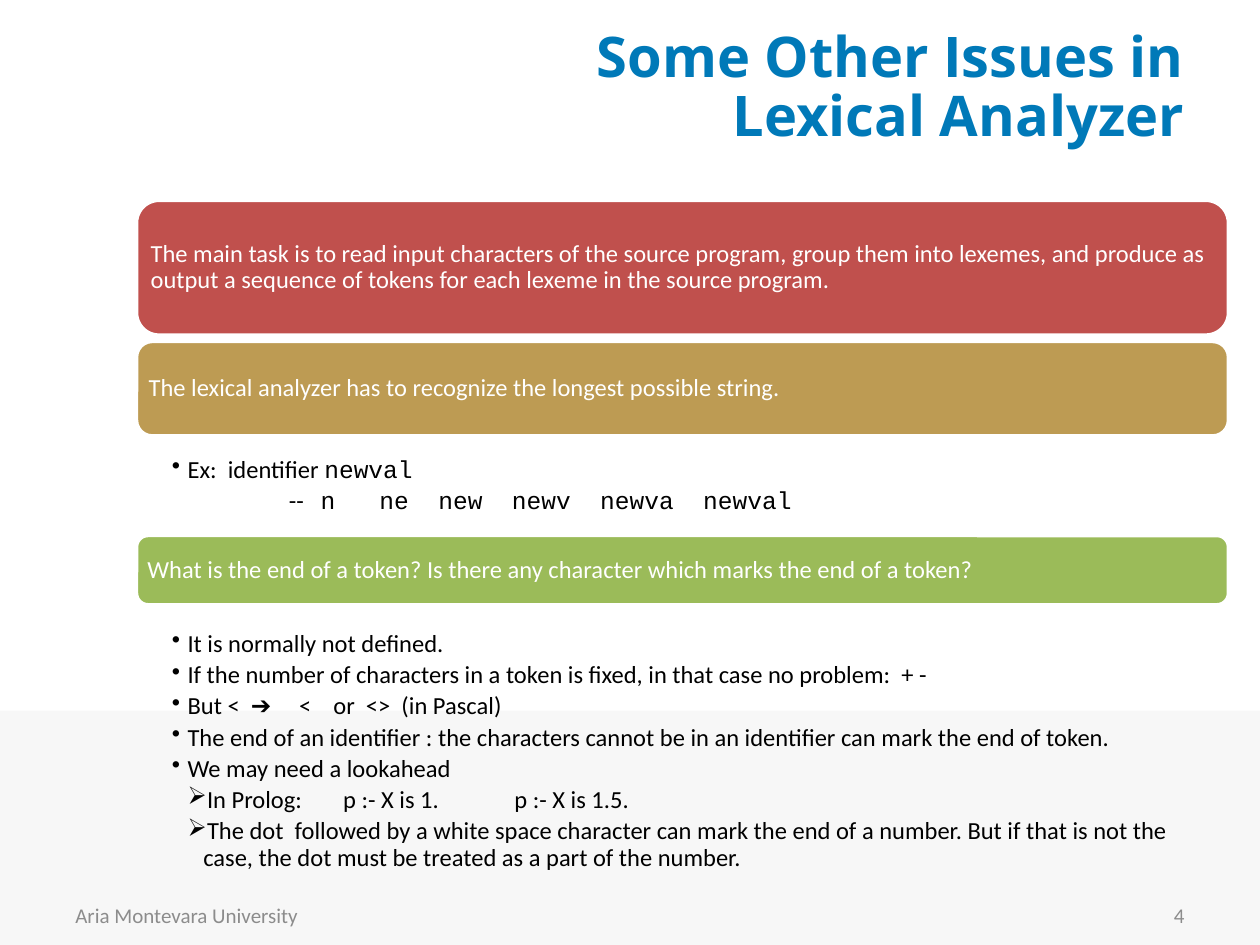
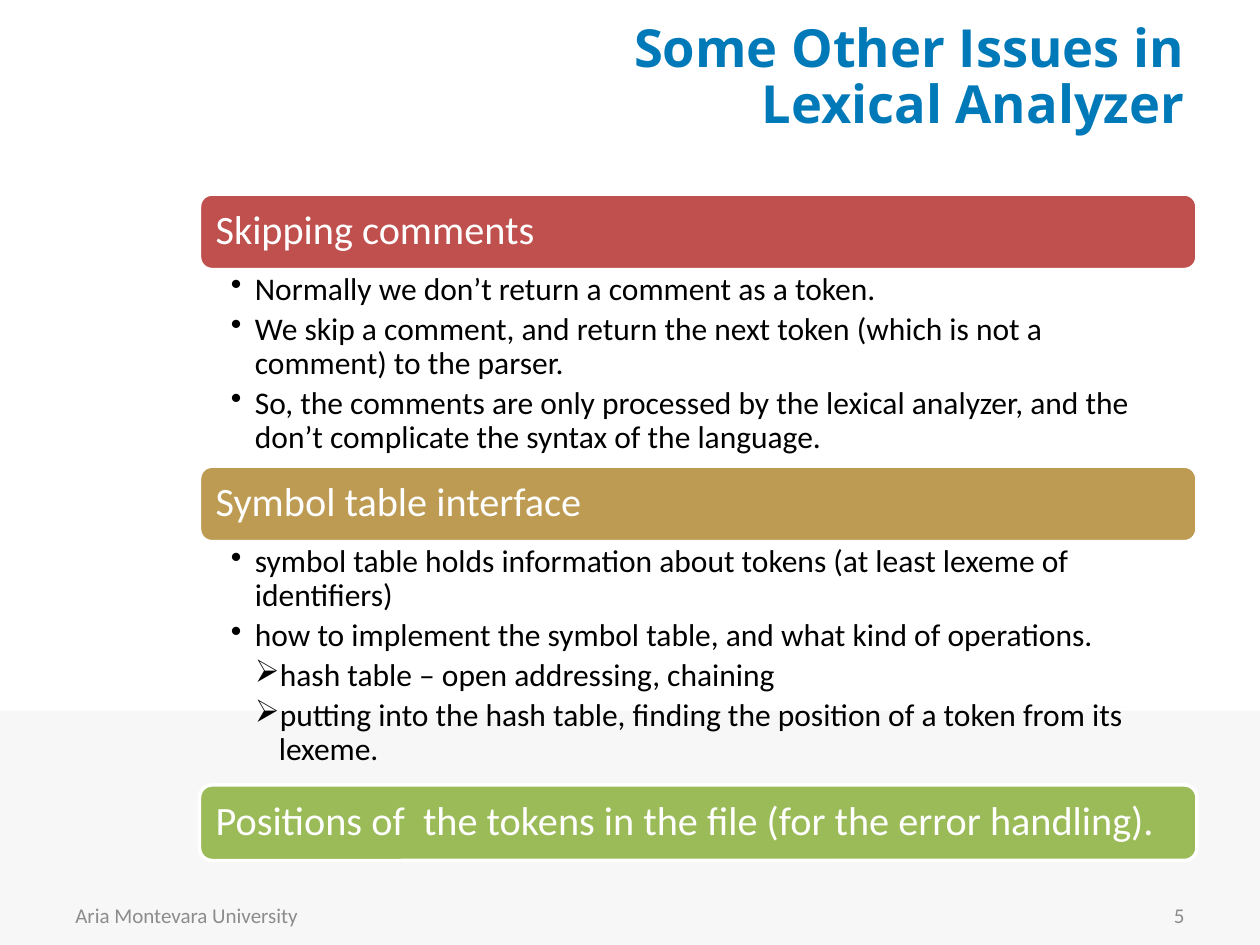
from pptx import Presentation
from pptx.dml.color import RGBColor
from pptx.enum.shapes import MSO_SHAPE
from pptx.enum.text import MSO_ANCHOR, PP_ALIGN
from pptx.util import Emu, Inches, Pt
from lxml.etree import SubElement
from pptx.oxml.ns import qn

# Shared style
WHITE = RGBColor(0xFF, 0xFF, 0xFF)
BLACK = RGBColor(0, 0, 0)
BAND_GREY = RGBColor(0xF7, 0xF7, 0xF7)
FOOTER_GREY = RGBColor(0x8C, 0x8C, 0x8C)
TITLE_BLUE = RGBColor(0x00, 0x79, 0xB8)
RED = RGBColor(0xC0, 0x50, 0x4D)
GOLD = RGBColor(0xBD, 0x9B, 0x53)
GREEN = RGBColor(0x9B, 0xBB, 0x59)

BODY_FONT, CODE_FONT, TITLE_FONT = "Calibri", "Courier New", "Open Sans"
COLUMNS, ROWS = 120, 90
RIGHT_EDGE = 114
UNIVERSITY = "Aria Montevara University"
TITLE = ["Some Other Issues in", "Lexical Analyzer"]
DOT, ARROW = "•", "➢"


def write(paragraph, runs, size, color, font=BODY_FONT, bold=False,
          align=PP_ALIGN.LEFT, spacing=None, after=0):
    """Fill a paragraph; each run is plain text or a (text, font) pair."""
    paragraph.alignment = align
    paragraph.line_spacing = spacing
    paragraph.space_after = Pt(after)
    for part in [runs] if isinstance(runs, str) else runs:
        text, face = (part, font) if isinstance(part, str) else part
        run = paragraph.add_run()
        run.text = text
        run.font.name, run.font.size, run.font.bold = face, Pt(size), bold
        run.font.color.rgb = color


def set_bullet(paragraph, mark, level, step, tab):
    """Hang the paragraph by one step per level, with a bullet if marked."""
    properties = paragraph._p.get_or_add_pPr()
    properties.set("marL", str(Inches(step * level)))
    properties.set("indent", str(-Inches(step)))
    properties.set("defTabSz", str(Inches(tab)))
    if mark:
        SubElement(properties, qn("a:buChar")).set("char", mark)
    else:
        SubElement(properties, qn("a:buNone"))


class Deck:
    def __init__(self):
        self.file = Presentation()
        self.file.slide_width, self.file.slide_height = Inches(10), Inches(7.5)
        self.column = self.file.slide_width / COLUMNS
        self.row = self.file.slide_height / ROWS

    def box(self, left, top, width, height):
        return (Emu(round(left * self.column)), Emu(round(top * self.row)),
                Emu(round(width * self.column)), Emu(round(height * self.row)))

    def shape(self, preset, place, fill, line=None):
        shape = self.slide.shapes.add_shape(preset, *self.box(*place))
        shape.shadow.inherit = False
        shape.fill.solid()
        shape.fill.fore_color.rgb = fill
        if line:
            shape.line.color.rgb, shape.line.width = line, Pt(2)
        else:
            shape.line.fill.background()
        return shape

    def text_frame(self, place, anchor=MSO_ANCHOR.MIDDLE):
        frame = self.slide.shapes.add_textbox(*self.box(*place)).text_frame
        frame.word_wrap, frame.vertical_anchor = True, anchor
        return frame

    def start(self, number, title_left, title_rows, title_size):
        """New slide with its band, title and footer."""
        self.slide = self.file.slides.add_slide(self.file.slide_layouts[6])
        self.shape(MSO_SHAPE.RECTANGLE, (0, 67.68, COLUMNS, 22.32), BAND_GREY)
        heading = self.text_frame(
            (title_left, 2, RIGHT_EDGE - title_left, title_rows)).paragraphs[0]
        for index, line in enumerate(TITLE):
            if index:
                heading.add_line_break()
            write(heading, line, title_size, TITLE_BLUE, TITLE_FONT, bold=True,
                  align=PP_ALIGN.RIGHT, spacing=0.88)
        for left, text, align in ((6, UNIVERSITY, PP_ALIGN.LEFT),
                                  (86, str(number), PP_ALIGN.RIGHT)):
            footer = self.text_frame((left, 84.72, 28, 4.8))
            write(footer.paragraphs[0], text, 12, FOOTER_GREY, align=align)

    def bar(self, place, text, fill, size, inset):
        bar = self.shape(MSO_SHAPE.ROUNDED_RECTANGLE, place, fill, WHITE)
        frame = bar.text_frame
        frame.word_wrap, frame.vertical_anchor = True, MSO_ANCHOR.MIDDLE
        frame.margin_left = frame.margin_right = Inches(inset)
        frame.margin_top = frame.margin_bottom = Inches(inset)
        write(frame.paragraphs[0], text, size, WHITE, spacing=0.9)

    def points(self, place, items, size, step, insets, tab):
        """Items are (bullet, level, runs)."""
        frame = self.text_frame(place, MSO_ANCHOR.TOP)
        (frame.margin_left, frame.margin_top,
         frame.margin_right, frame.margin_bottom) = map(Inches, insets)
        for index, (mark, level, runs) in enumerate(items):
            point = frame.add_paragraph() if index else frame.paragraphs[0]
            write(point, runs, size, BLACK, spacing=0.9, after=round(size * 0.19, 1))
            set_bullet(point, mark, level, step, tab)


def longest_string_slide(deck):
    deck.start(4, title_left=37, title_rows=13, title_size=32)
    left, width = 13, 104

    # Statements
    for top, height, fill, statement in (
            (19.08, 12.84, RED,
             "The main task is to read input characters of the source program, group "
             "them into lexemes, and produce as output a sequence of tokens for each "
             "lexeme in the source program."),
            (32.52, 9, GOLD,
             "The lexical analyzer has to recognize the longest possible string."),
            (51, 6.6, GREEN,
             "What is the end of a token? Is there any character which marks the end "
             "of a token?")):
        deck.bar((left, top, width, height), statement, fill, size=14, inset=0.06)

    # Example and end-of-token details
    example = [
        (DOT, 1, ["Ex:  identifier ", ("newval", CODE_FONT)]),
        (None, 2, ["\t\t--   ", ("n   ne  new  newv  newva  newval", CODE_FONT)]),
    ]
    token_end = [
        (DOT, 1, "It is normally not defined."),
        (DOT, 1, "If the number of characters in a token is fixed, in that case "
                 "no problem:  + -"),
        (DOT, 1, "But <  ➔     <    or  <>  (in Pascal)"),
        (DOT, 1, "The end of an identifier : the characters cannot be in an "
                 "identifier can mark the end of token."),
        (DOT, 1, "We may need a lookahead"),
        (ARROW, 2, "In Prolog:   \tp :- X is 1.        \tp :- X is 1.5."),
        (ARROW, 2, "The dot  followed by a white space character can mark the end of "
                   "a number. But if that is not the case, the dot must be treated as "
                   "a part of the number."),
    ]
    for top, height, items in ((43.32, 13.44, example), (59.88, 24.48, token_end)):
        deck.points((left, top, width, height), items, size=14, step=0.125,
                    insets=(0.28, 0.02, 0.11, 0.02), tab=0.68)


def comments_and_symbols_slide(deck):
    deck.start(5, title_left=38, title_rows=11, title_size=30)
    left, width, bar_rows = 19, 95, 7.2
    skipping = [
        (DOT, 1, "Normally we don’t return a comment as a token."),
        (DOT, 1, "We skip a comment, and return the next token (which is not a "
                 "comment) to the parser."),
        (DOT, 1, "So, the comments are only processed by the lexical analyzer, and "
                 "the don’t complicate the syntax of the language."),
    ]
    symbol_table = [
        (DOT, 1, "symbol table holds information about tokens (at least lexeme of "
                 "identifiers)"),
        (DOT, 1, "how to implement the symbol table, and what kind of operations."),
        (ARROW, 2, "hash table – open addressing, chaining"),
        (ARROW, 2, "putting into the hash table, finding the position of a token "
                   "from its lexeme."),
    ]

    # Topics stacked without gaps
    top = 18.48
    for topic, fill, items, rows in (
            ("Skipping comments", RED, skipping, 18.72),
            ("Symbol table interface", GOLD, symbol_table, 23.16),
            ("Positions of  the tokens in the file (for the error handling).",
             GREEN, [], 0)):
        deck.bar((left, top, width, bar_rows), topic, fill, size=23, inset=0.1)
        top += bar_rows
        if items:
            deck.points((left, top, width, rows), items, size=18, step=0.19,
                        insets=(0.25, 0.03, 0.18, 0.03), tab=0.88)
            top += rows


def main():
    deck = Deck()
    longest_string_slide(deck)
    comments_and_symbols_slide(deck)
    deck.file.save("out.pptx")


if __name__ == "__main__":
    main()
